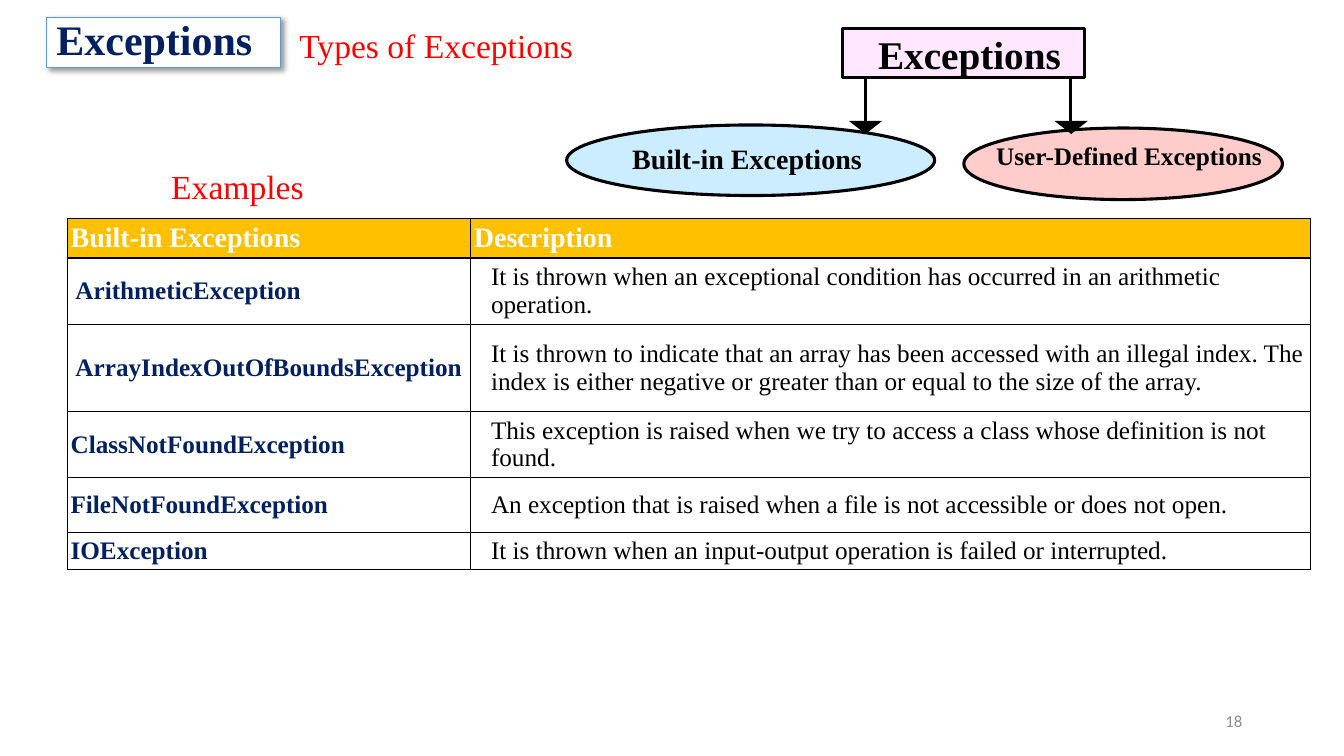
from lxml.etree import SubElement
from pptx import Presentation
from pptx.dml.color import RGBColor
from pptx.enum.shapes import MSO_CONNECTOR, MSO_SHAPE
from pptx.enum.text import MSO_ANCHOR, MSO_AUTO_SIZE, PP_ALIGN
from pptx.oxml import parse_xml
from pptx.oxml.ns import nsdecls, qn
from pptx.util import Emu, Pt

PX = 9144
SERIF = "Times New Roman"
BLACK = RGBColor(0x00, 0x00, 0x00)
WHITE = RGBColor(0xFF, 0xFF, 0xFF)
NAVY = RGBColor(0x00, 0x20, 0x60)
RED = RGBColor(0xFF, 0x00, 0x00)
BLUE = RGBColor(0x5B, 0x9B, 0xD5)
PINK = RGBColor(0xFF, 0xE7, 0xFF)
SKY = RGBColor(0xCC, 0xEC, 0xFF)
ROSE = RGBColor(0xFF, 0xCC, 0xCC)
AMBER = RGBColor(0xFF, 0xC0, 0x00)
GREY = RGBColor(0x8C, 0x8C, 0x8C)
OUTLINE = Pt(2.22)

COLUMN_WIDTHS = [400, 833]
ROW_HEIGHTS = [39, 66, 86, 66, 54, 37]
EXCEPTIONS = [
    ("Built-in Exceptions", "Description"),
    (" ArithmeticException",
     "It is thrown when an exceptional condition has occurred in an arithmetic operation."),
    (" ArrayIndexOutOfBoundsException",
     "It is thrown to indicate that an array has been accessed with an illegal index. "
     "The index is either negative or greater than or equal to the size of the array."),
    ("ClassNotFoundException",
     "This exception is raised when we try to access a class whose definition is not found."),
    ("FileNotFoundException",
     "An exception that is raised when a file is not accessible or does not open."),
    ("IOException",
     "It is thrown when an input-output operation is failed or interrupted."),
]


def px(*lengths):
    """Turn px lengths into EMU."""
    return [Emu(length * PX) for length in lengths]


def shadow_effect():
    """Return a soft shadow falling to the lower right."""
    return parse_xml(
        f'<a:effectLst {nsdecls("a")}>'
        '<a:outerShdw blurRad="50800" dist="38100" dir="2700000" algn="tl" rotWithShape="0">'
        '<a:srgbClr val="000000"><a:alpha val="40000"/></a:srgbClr>'
        '</a:outerShdw></a:effectLst>')


def write(frame, text, size, color, bold=False, font=SERIF, margins=(10, 5, 10, 5),
          anchor=MSO_ANCHOR.MIDDLE, align=PP_ALIGN.LEFT, wrap=True):
    """Fill a text frame with one formatted paragraph and return the paragraph."""
    frame.text = text
    frame.word_wrap = wrap
    frame.auto_size = MSO_AUTO_SIZE.NONE
    frame.vertical_anchor = anchor
    (frame.margin_left, frame.margin_top,
     frame.margin_right, frame.margin_bottom) = px(*margins)
    paragraph = frame.paragraphs[0]
    paragraph.alignment = align
    style_run(paragraph.runs[0], size, color, bold, font)
    return paragraph


def style_run(run, size, color, bold, font=SERIF):
    """Set the look of a run."""
    run.font.size = Pt(size)
    run.font.bold = bold
    run.font.name = font
    run.font.color.rgb = color


def add_label(slide, box, text, size, color, **look):
    """Place a text box and return its paragraph."""
    label = slide.shapes.add_textbox(*px(*box))
    return write(label.text_frame, text, size, color, **look)


def add_figure(slide, kind, box, fill):
    """Place a filled preset shape with a black outline."""
    figure = slide.shapes.add_shape(kind, *px(*box))
    figure.shadow.inherit = False
    figure.fill.solid()
    figure.fill.fore_color.rgb = fill
    figure.line.color.rgb = BLACK
    figure.line.width = OUTLINE
    return figure


def add_title(slide, box):
    """Place the framed slide title."""
    title = slide.shapes.title
    title.left, title.top, title.width, title.height = px(*box)
    title.fill.solid()
    title.fill.fore_color.rgb = WHITE
    title.line.color.rgb = BLUE
    title.line.width = Pt(0.75)
    title._element.spPr.append(shadow_effect())
    write(title.text_frame, "Exceptions", 30, NAVY, bold=True).line_spacing = 0.9


def add_heading(slide, box, text):
    """Place a red heading with shadowed letters."""
    heading = add_label(slide, box, text, 24, RED, wrap=False)
    heading.line_spacing = 0.9
    properties = heading.runs[0]._r.get_or_add_rPr()
    properties.find(qn("a:solidFill")).addnext(shadow_effect())


def add_arrow(slide, x, top, tip):
    """Draw a downward arrow with a wide flat head."""
    head_width, head_height = 33, 13
    neck = tip - head_height
    stem = slide.shapes.add_connector(MSO_CONNECTOR.STRAIGHT, *px(x, top, x, neck))
    stem.line.color.rgb = BLACK
    stem.line.width = OUTLINE
    SubElement(stem._element.spPr, qn("a:effectLst"))
    head_box = (x - head_width // 2, neck, head_width, head_height)
    head = add_figure(slide, MSO_SHAPE.FLOWCHART_MERGE, head_box, BLACK)
    head.line.fill.background()


def add_hierarchy(slide, left, top):
    """Draw the root box, its two kinds and the arrows between them."""
    root = add_figure(slide, MSO_SHAPE.RECTANGLE, (left + 274, top, 240, 49), PINK)
    write(root.text_frame, "Exceptions", 28, BLACK, bold=True,
          margins=(35, 2, 0, 0), anchor=MSO_ANCHOR.TOP)
    kinds = [
        ("Built-in Exceptions", 20, SKY, (0, 96, 365, 70), (64, 111, 240, 35)),
        ("User-Defined Exceptions", 18, ROSE, (394, 99, 316, 71), (425, 110, 271, 40)),
    ]
    for name, size, fill, oval, label in kinds:
        oval_box, label_box = ((left + x, top + y, w, h) for x, y, w, h in (oval, label))
        add_figure(slide, MSO_SHAPE.OVAL, oval_box, fill)
        add_label(slide, label_box, name, size, BLACK, bold=True,
                  margins=(1, 1, 0, 0), anchor=MSO_ANCHOR.TOP)
    for x in (296, 500):
        add_arrow(slide, left + x, top + 50, top + 105)


def add_borders(cell):
    """Give a table cell a thin black border on every side."""
    properties = cell._tc.get_or_add_tcPr()
    for position, side in enumerate(("lnL", "lnR", "lnT", "lnB")):
        properties.insert(position, parse_xml(
            f'<a:{side} {nsdecls("a")} w="12700"><a:solidFill>'
            f'<a:srgbClr val="{BLACK}"/></a:solidFill></a:{side}>'))


def add_exception_table(slide, left, top):
    """Build the table of built-in exceptions."""
    box = px(left, top, sum(COLUMN_WIDTHS), sum(ROW_HEIGHTS))
    table = slide.shapes.add_table(len(EXCEPTIONS), len(COLUMN_WIDTHS), *box).table
    for column, width in zip(table.columns, px(*COLUMN_WIDTHS)):
        column.width = width
    for row, height in zip(table.rows, px(*ROW_HEIGHTS)):
        row.height = height
    for r, entry in enumerate(EXCEPTIONS):
        for c, text in enumerate(entry):
            cell = table.cell(r, c)
            header, description = r == 0, c == 1
            cell.text = text
            cell.vertical_anchor = MSO_ANCHOR.MIDDLE
            indent = 20 if description and not header else 3
            (cell.margin_left, cell.margin_top,
             cell.margin_right, cell.margin_bottom) = px(indent, 3, 6, 3)
            cell.fill.solid()
            cell.fill.fore_color.rgb = AMBER if header else WHITE
            color = WHITE if header else BLACK if description else NAVY
            style_run(cell.text_frame.paragraphs[0].runs[0],
                      20 if header else 18, color, header or not description)
            add_borders(cell)


def main():
    """Build and save the slide."""
    deck = Presentation()
    deck.slide_width, deck.slide_height = px(1333, 750)
    slide = deck.slides.add_slide(deck.slide_layouts.get_by_name("Title Only"))
    add_title(slide, (46, 17, 232, 50))
    add_heading(slide, (287, 24, 294, 46), "Types of Exceptions")
    add_hierarchy(slide, 562, 28)
    add_heading(slide, (160, 164, 153, 46), "Examples")
    add_exception_table(slide, 67, 217)
    add_label(slide, (942, 695, 300, 40), "18", 12, GREY, font="Calibri",
              align=PP_ALIGN.RIGHT)
    deck.save("out.pptx")


if __name__ == "__main__":
    main()
